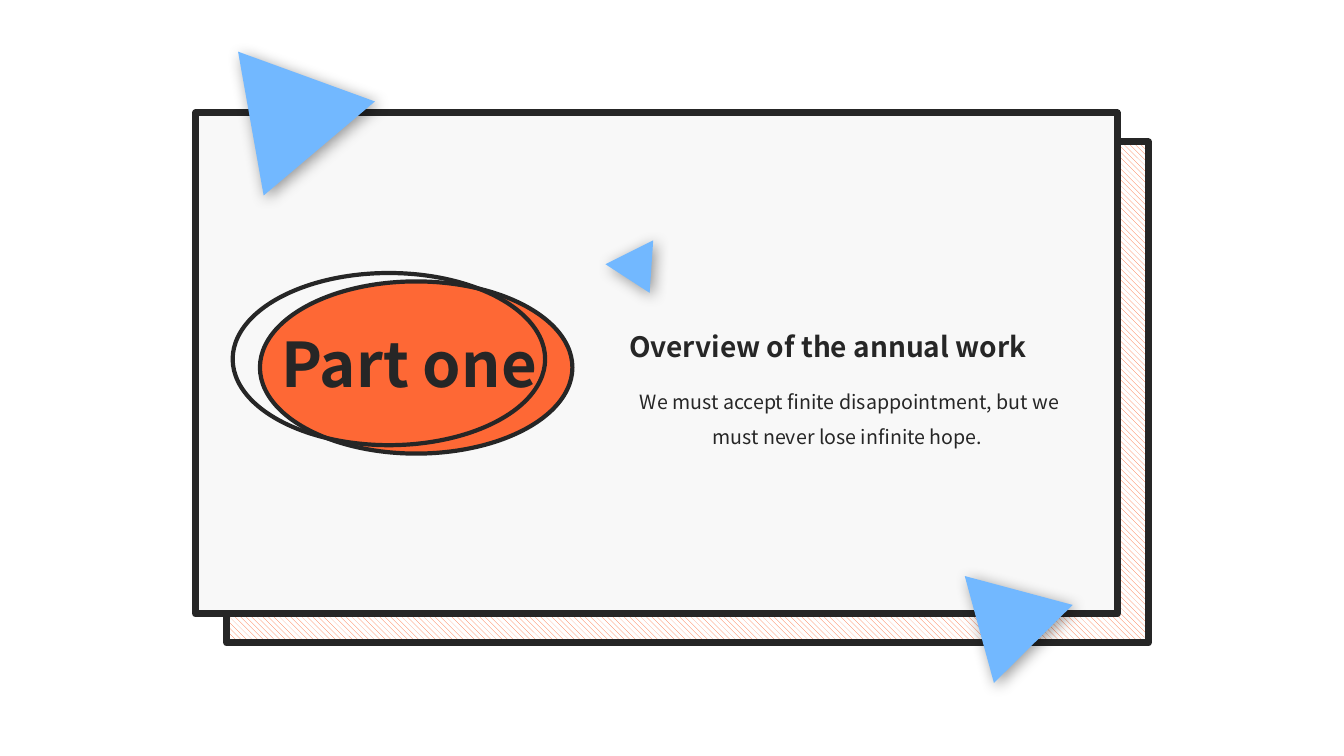
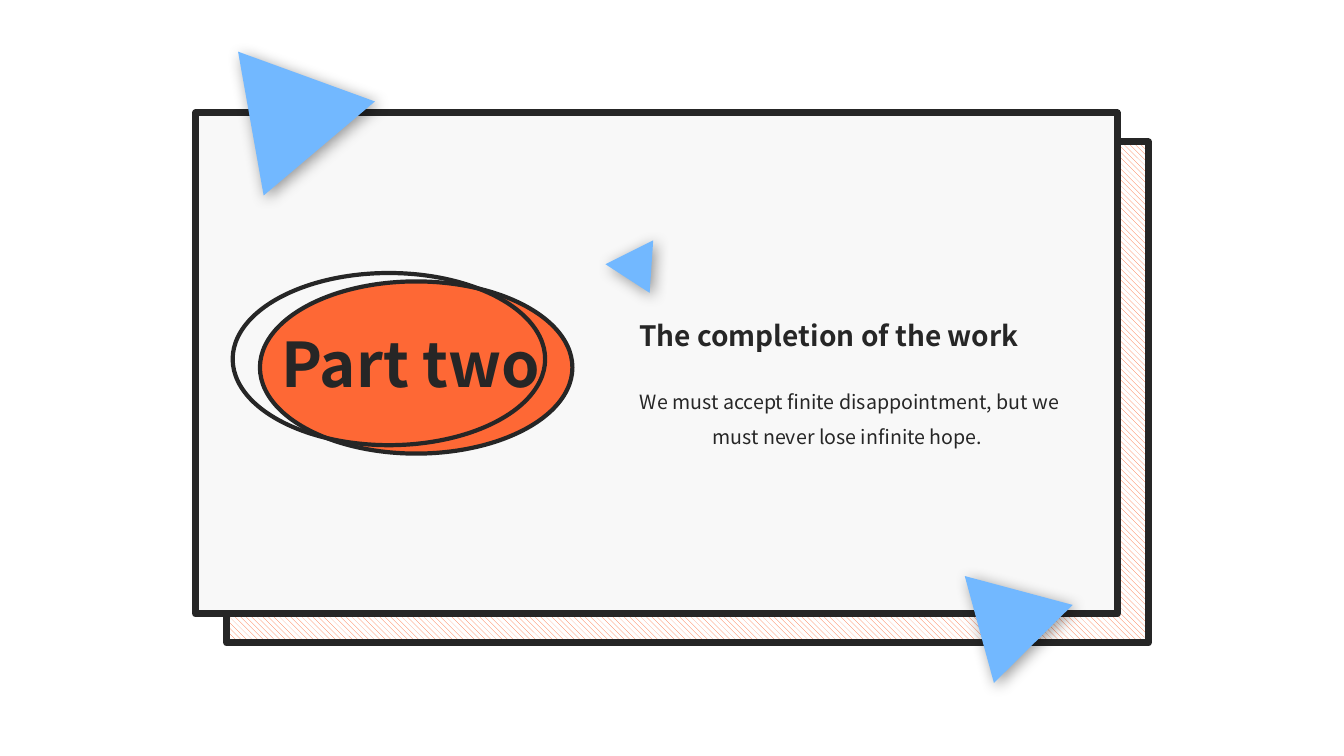
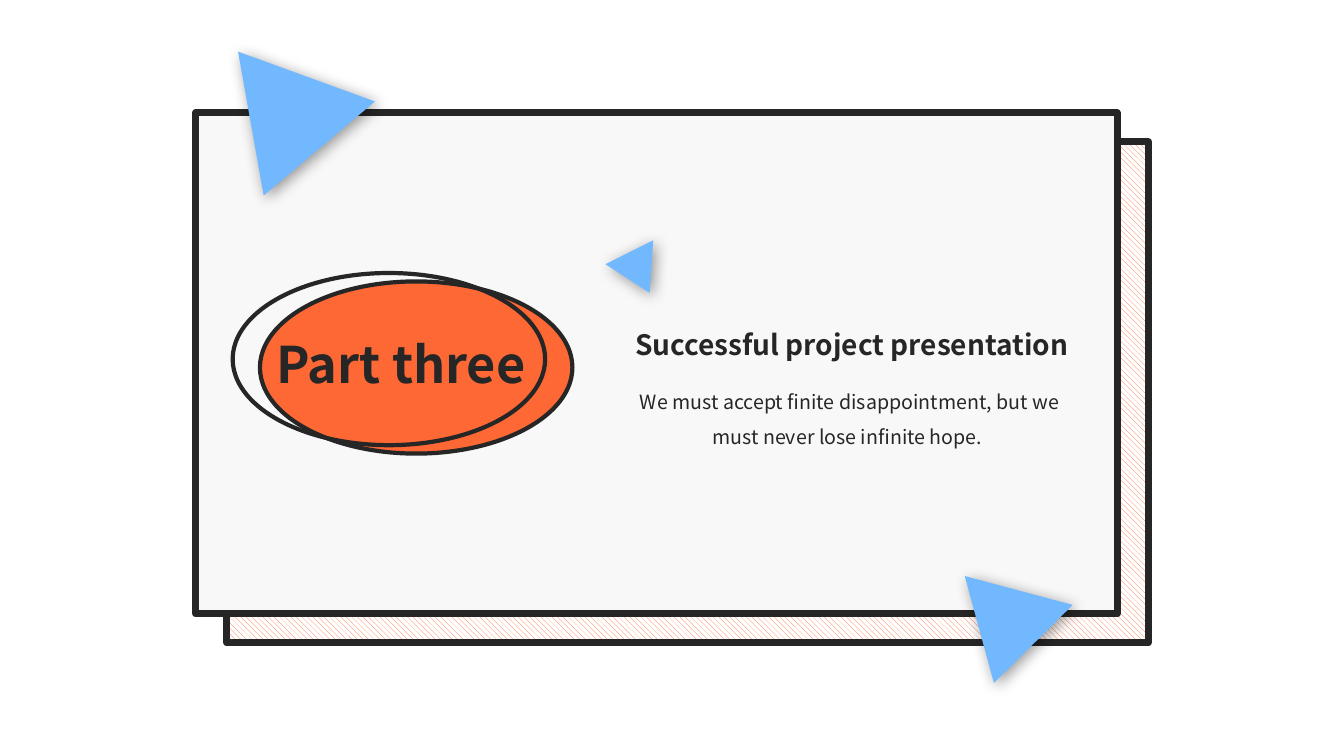
from lxml.etree import SubElement
from pptx import Presentation
from pptx.dml.color import RGBColor
from pptx.enum.dml import MSO_PATTERN
from pptx.enum.shapes import MSO_SHAPE
from pptx.enum.text import MSO_AUTO_SIZE, PP_ALIGN
from pptx.oxml.ns import qn
from pptx.util import Inches, Pt

INK = RGBColor(0x26, 0x26, 0x26)
ORANGE = RGBColor(0xFE, 0x68, 0x35)
BLUE = RGBColor(0x72, 0xB8, 0xFF)
PAPER = RGBColor(0xF8, 0xF8, 0xF8)
WHITE = RGBColor(0xFF, 0xFF, 0xFF)
FONT = "Noto Sans CJK SC"

COLS, ROWS = 32, 18
QUOTE = "We must accept finite disappointment, but we must never lose infinite hope. "

# Badge label, its left, width, height and size; heading, its left, top and width
DIVIDERS = [
    (("Part one", 6.46, 6.79, 2.02, 44),
     ("Overview of the annual work", 14.98, 7.85, 11.02)),
    (("Part two", 6.46, 6.84, 2.02, 44),
     ("The completion of the work", 15.22, 7.58, 9.55)),
    (("Part three", 6.34, 6.55, 1.7, 36),
     ("Successful project presentation", 15.12, 7.8, 10.54)),
]


class Deck:
    """Holds the style and the current slide; lengths are grid columns and rows."""

    def __init__(self):
        self.prs = Presentation()
        self.prs.slide_width, self.prs.slide_height = Inches(13.33), Inches(7.5)
        self.col = self.prs.slide_width / COLS
        self.row = self.prs.slide_height / ROWS

    def new_slide(self):
        self.slide = self.prs.slides.add_slide(self.prs.slide_layouts[6])
        self.shapes = self.slide.shapes

    def group(self):
        return self.shapes.add_group_shape().shapes

    def box(self, x, y, w, h):
        return (round(x * self.col), round(y * self.row),
                round(w * self.col), round(h * self.row))

    def shape(self, shapes, kind, at, fill=None, line=None):
        sp = shapes.add_shape(kind, *self.box(*at))
        if fill is None:
            sp.fill.background()
        else:
            sp.fill.solid()
            sp.fill.fore_color.rgb = fill
        if line is None:
            sp.line.fill.background()
        else:
            sp.line.color.rgb = INK
            sp.line.width = Pt(line)
        sp.shadow.inherit = False
        return sp

    def text(self, shapes, text, at, size, bold=True, wrap=True, inset=True):
        sp = shapes.add_textbox(*self.box(*at))
        tf = sp.text_frame
        tf.word_wrap = wrap
        tf.auto_size = MSO_AUTO_SIZE.SHAPE_TO_FIT_TEXT
        if not inset:
            tf.margin_left = tf.margin_right = tf.margin_top = tf.margin_bottom = 0
        tf.text = text
        p = tf.paragraphs[0]
        font = p.runs[0].font
        font.name, font.size, font.bold = FONT, Pt(size), bold
        font.color.rgb = INK
        return p

    def card(self):
        """Paper card lying on a hatched one."""
        shapes = self.group()
        back = self.shape(shapes, MSO_SHAPE.RECTANGLE, (5.4, 3.38, 21.94, 11.93), WHITE, 5)
        back.fill.patterned()
        back.fill.pattern = MSO_PATTERN.WIDE_DOWNWARD_DIAGONAL
        back.fill.fore_color.rgb = ORANGE
        back.fill.back_color.rgb = WHITE
        self.shape(shapes, MSO_SHAPE.RECTANGLE, (4.66, 2.69, 21.94, 11.93), PAPER, 5)

    def triangle(self, at, rotation):
        """Blue triangle with a soft shadow."""
        sp = self.shape(self.shapes, MSO_SHAPE.ISOSCELES_TRIANGLE, at, BLUE)
        sp.rotation = rotation
        effects = sp._element.spPr.find(qn("a:effectLst"))
        shadow = SubElement(effects, qn("a:outerShdw"), blurRad=str(Pt(11)),
                            dist=str(Pt(3)), dir=str(45 * 60000),
                            algn="tl", rotWithShape="0")
        color = SubElement(shadow, qn("a:srgbClr"), val="000000")
        SubElement(color, qn("a:alpha"), val="40000")

    def badge(self, label, x, w, h, size):
        """Label between a filled ellipse and an outlined one."""
        shapes = self.group()
        self.shape(shapes, MSO_SHAPE.OVAL, (6.19, 6.7, 7.44, 4.1), ORANGE, 3)
        self.text(shapes, label, (x, 8.66 - h / 2, w, h), size, wrap=False)
        self.shape(shapes, MSO_SHAPE.OVAL, (5.54, 6.5, 7.44, 4.1), line=3)

    def heading(self, text, x, y, w):
        self.text(self.shapes, text, (x, y, w, 0.82), 20, inset=False)

    def quote(self):
        p = self.text(self.shapes, QUOTE, (14.47, 8.88, 11.52, 1.85), 14, bold=False)
        p.alignment = PP_ALIGN.CENTER
        p.line_spacing = 1.5

    def divider(self, badge, heading):
        self.new_slide()
        self.card()
        self.triangle((5.71, 1.18, 3.48, 3), 79.9)
        self.triangle((14.59, 5.95, 1.27, 1.08), 153.4)
        self.heading(*heading)
        self.badge(*badge)
        self.quote()
        self.triangle((22.63, 14.02, 2.66, 2.28), 195)


def main():
    deck = Deck()
    for badge, heading in DIVIDERS:
        deck.divider(badge, heading)
    deck.prs.save("out.pptx")


if __name__ == "__main__":
    main()
